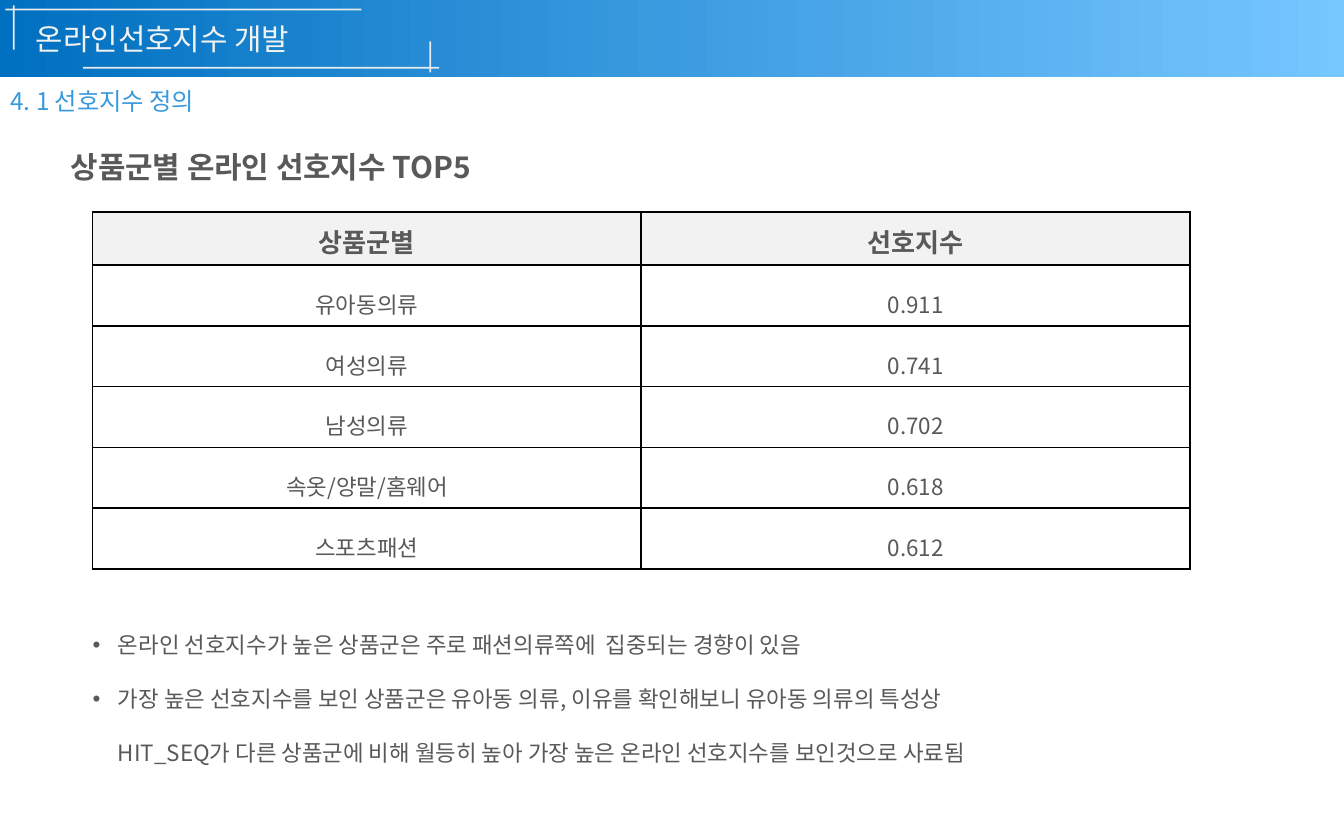
from lxml import etree
from pptx import Presentation
from pptx.dml.color import RGBColor
from pptx.enum.shapes import MSO_CONNECTOR, MSO_SHAPE
from pptx.enum.text import MSO_ANCHOR, PP_ALIGN
from pptx.oxml.ns import qn
from pptx.util import Cm, Pt

FONT = "Noto Sans CJK KR"
GRAY = "595959"
PALE = "F2F2F2"
STRAIGHT = MSO_CONNECTOR.STRAIGHT
RECTANGLE = MSO_SHAPE.RECTANGLE
CENTER, JUSTIFY = PP_ALIGN.CENTER, PP_ALIGN.JUSTIFY
TOP, MIDDLE = MSO_ANCHOR.TOP, MSO_ANCHOR.MIDDLE


def color(hex_value):
    return RGBColor.from_string(hex_value)


def write(paragraph, text, size, hex_value, bold=False, spacing=1.0):
    paragraph.line_spacing = spacing
    run = paragraph.add_run()
    run.text = text
    run.font.size = Pt(size)
    run.font.bold = bold
    run.font.name = FONT
    run.font.color.rgb = color(hex_value)
    latin = run.font._element.find(qn("a:latin"))
    east_asian = etree.Element(qn("a:ea"), typeface=FONT)
    latin.addnext(east_asian)


prs = Presentation()
prs.slide_width, prs.slide_height = Cm(25.4), Cm(15.88)
slide = prs.slides.add_slide(prs.slide_layouts[6])
shapes = slide.shapes

banner = shapes.add_shape(RECTANGLE, 0, 0, prs.slide_width, Cm(1.45))
banner.shadow.inherit = False
banner.line.fill.background()
banner.fill.gradient()
banner.fill.gradient_angle = 180
for stop, shade, position in zip(banner.fill.gradient_stops, ("76C6FF", "0070C0"), (0, 1)):
    stop.color.rgb = color(shade)
    stop.position = position

for x1, y1, x2, y2 in (
    (0.1, 0.18, 6.83, 0.18),
    (1.57, 1.28, 8.3, 1.28),
    (8.13, 0.78, 8.13, 1.37),
    (0.26, 0.1, 0.26, 0.94),
):
    accent = shapes.add_connector(STRAIGHT, Cm(x1), Cm(y1), Cm(x2), Cm(y2))
    accent.line.width = Pt(1)
    accent.line.color.rgb = color(PALE)
    tint = accent.line._ln.find(".//" + qn("a:srgbClr"))
    etree.SubElement(tint, qn("a:alpha"), val="94000")
    etree.SubElement(accent._element.spPr, qn("a:effectLst"))

for left, top, width, height, inset_x, inset_y, anchor, align, text, size, shade, bold, spacing in (
    (0.58, 0.4, 7.24, 0.7, 0.1, 0, TOP, JUSTIFY, "온라인선호지수 개발", 16, PALE, False, 1.0),
    (-0.1, 1.55, 25.48, 0.7, 0.3, 0.13, MIDDLE, None, "4. 1 선호지수 정의", 13, "3899DE", False, 1.0),
    (1.09, 2.34, 22, 1.57, 0.25, 0.13, TOP, None, "상품군별 온라인 선호지수 TOP5", 16, GRAY, True, 1.5),
):
    heading = shapes.add_textbox(Cm(left), Cm(top), Cm(width), Cm(height)).text_frame
    heading.word_wrap = True
    heading.vertical_anchor = anchor
    heading.margin_left = heading.margin_right = Cm(inset_x)
    heading.margin_top = heading.margin_bottom = Cm(inset_y)
    heading.paragraphs[0].alignment = align
    write(heading.paragraphs[0], text, size, shade, bold, spacing)

rankings = (
    ("상품군별", "선호지수"),
    ("유아동의류", "0.911"),
    ("여성의류", "0.741"),
    ("남성의류", "0.702"),
    ("속옷/양말/홈웨어", "0.618"),
    ("스포츠패션", "0.612"),
)
table = shapes.add_table(len(rankings), 2, Cm(1.75), Cm(4.01), Cm(20.74), Cm(6.75)).table
table.first_row = table.horz_banding = False
for column in table.columns:
    column.width = Cm(10.37)
for row_index, ranking in enumerate(rankings):
    is_header = row_index == 0
    table.rows[row_index].height = Cm(1 if is_header else 1.15)
    for column_index, text in enumerate(ranking):
        cell = table.cell(row_index, column_index)
        cell.vertical_anchor = MIDDLE
        cell.margin_left = cell.margin_right = Cm(0.15)
        cell.margin_top = cell.margin_bottom = 0
        for side in ("a:lnL", "a:lnR", "a:lnT", "a:lnB"):
            border = etree.SubElement(cell._tc.tcPr, qn(side), w=str(Pt(1)))
            border_fill = etree.SubElement(border, qn("a:solidFill"))
            etree.SubElement(border_fill, qn("a:srgbClr"), val="000000")
        if is_header:
            cell.fill.solid()
            cell.fill.fore_color.rgb = color(PALE)
        else:
            cell.fill.background()
        paragraph = cell.text_frame.paragraphs[0]
        paragraph.alignment = CENTER
        write(paragraph, text, 14 if is_header else 12, GRAY, is_header, 1.15 if is_header else 1.5)

findings = shapes.add_textbox(Cm(1.5), Cm(11.3), Cm(18), Cm(4.65)).text_frame
findings.word_wrap = True
for index, text in enumerate((
    "온라인 선호지수가 높은 상품군은 주로 패션의류쪽에  집중되는 경향이 있음",
    "가장 높은 선호지수를 보인 상품군은 유아동 의류, 이유를 확인해보니 유아동 의류의 특성상"
    "HIT_SEQ가 다른 상품군에 비해 월등히 높아 가장 높은 온라인 선호지수를 보인것으로 사료됨",
)):
    paragraph = findings.add_paragraph() if index else findings.paragraphs[0]
    write(paragraph, text, 12, GRAY, spacing=2.0)
    properties = paragraph._p.get_or_add_pPr()
    properties.set("marL", str(Cm(0.48)))
    properties.set("indent", str(-Cm(0.48)))
    etree.SubElement(properties, qn("a:buFont"), typeface="Arial")
    etree.SubElement(properties, qn("a:buChar"), char="•")

prs.save("out.pptx")
